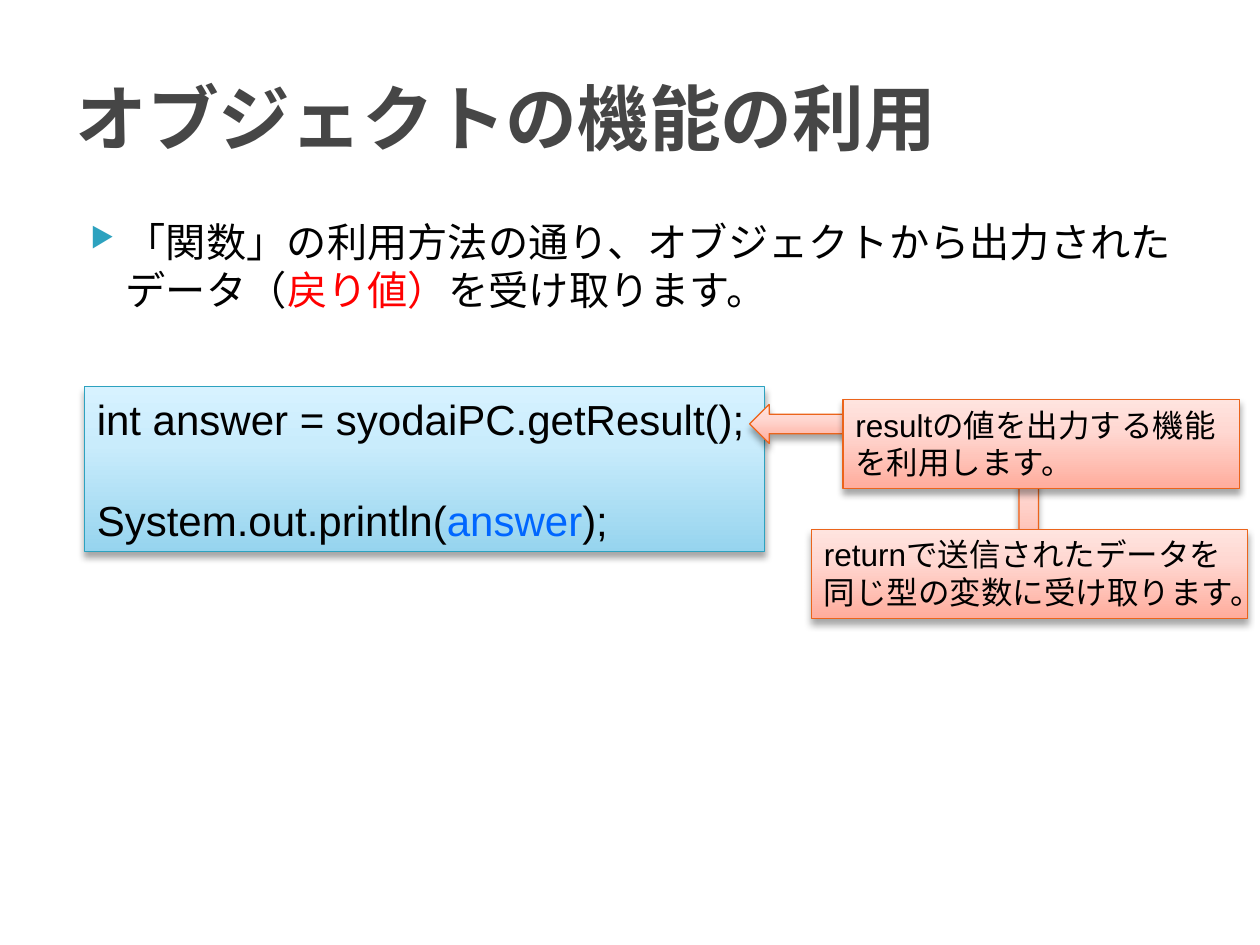
import pptx
import pptx.dml.color
import pptx.enum.shapes
import pptx.enum.text
import pptx.oxml
import pptx.oxml.ns
import pptx.util

Pt = pptx.util.Pt
RGBColor = pptx.dml.color.RGBColor
Shape = pptx.enum.shapes.MSO_SHAPE
Anchor = pptx.enum.text.MSO_ANCHOR
Align = pptx.enum.text.PP_ALIGN

BLACK = RGBColor(0x00, 0x00, 0x00)
GRAY = RGBColor(0x46, 0x46, 0x46)
RED = RGBColor(0xFF, 0x00, 0x00)
BLUE = RGBColor(0x00, 0x66, 0xFF)
TEAL = RGBColor(0x2D, 0xA2, 0xBF)
ORANGE = RGBColor(0xEB, 0x64, 0x1B)
SKY_STOPS = (RGBColor(0x96, 0xD4, 0xEE), RGBColor(0xC9, 0xEC, 0xFC), RGBColor(0xD7, 0xF2, 0xFF))
PEACH_STOPS = (RGBColor(0xFF, 0xAC, 0x9C), RGBColor(0xFF, 0xD8, 0xD2), RGBColor(0xFF, 0xE4, 0xDF))
SKY = (SKY_STOPS, TEAL)
PEACH = (PEACH_STOPS, ORANGE)


def drawing_xml(tag, body, attributes=""):
    return pptx.oxml.parse_xml(
        f'<a:{tag} {pptx.oxml.ns.nsdecls("a")} {attributes}>{body}</a:{tag}>'
    )


class SlideBuilder:
    heading_font = "Courier New"
    label_font = "Arial"

    def __init__(self, slide):
        self.slide = slide

    def add_pieces(self, paragraph, pieces, font, size, bold=False):
        paragraph.alignment = Align.LEFT
        for words, color in pieces:
            run = paragraph.add_run()
            run.text = words
            run.font.name = font
            run.font.size = Pt(size)
            run.font.bold = bold
            run.font.color.rgb = color

    def text_frame(self, left, top, width, height, anchor):
        frame = self.slide.shapes.add_textbox(Pt(left), Pt(top), Pt(width), Pt(height)).text_frame
        frame.word_wrap = True
        frame.vertical_anchor = anchor
        return frame

    def title(self, words, *place):
        frame = self.text_frame(*place, Anchor.MIDDLE)
        self.add_pieces(frame.paragraphs[0], [(words, GRAY)], self.heading_font, 41, True)

    def bullet(self, pieces, *place):
        frame = self.text_frame(*place, Anchor.TOP)
        frame.margin_top = Pt(7.6)
        paragraph = frame.paragraphs[0]
        properties = paragraph._p.get_or_add_pPr()
        properties.set("marL", str(Pt(28.8)))
        properties.set("indent", str(Pt(-20.16)))
        properties.append(drawing_xml("buClr", f'<a:srgbClr val="{TEAL}"/>'))
        properties.append(drawing_xml("buSzPct", "", 'val="68000"'))
        properties.append(drawing_xml("buChar", "", 'char="▶"'))
        self.add_pieces(paragraph, pieces, self.heading_font, 23)

    def glossy_shape(self, kind, theme, left, top, width, height):
        stops, edge = theme
        shape = self.slide.shapes.add_shape(kind, Pt(left), Pt(top), Pt(width), Pt(height))
        shape.line.color.rgb = edge
        shape.line.width = Pt(0.75)
        shape.fill.background()
        properties = shape._element.spPr
        stop_list = "".join(
            f'<a:gs pos="{position}"><a:srgbClr val="{color}"/></a:gs>'
            for position, color in zip((0, 65000, 100000), stops)
        )
        gradient = drawing_xml("gradFill", f'<a:gsLst>{stop_list}</a:gsLst><a:lin ang="16200000" scaled="0"/>')
        properties.replace(properties.find(pptx.oxml.ns.qn("a:noFill")), gradient)
        shape.shadow.inherit = False
        properties.find(pptx.oxml.ns.qn("a:effectLst")).append(drawing_xml(
            "outerShdw",
            f'<a:srgbClr val="{BLACK}"><a:alpha val="35000"/></a:srgbClr>',
            f'blurRad="{Pt(4)}" dist="{Pt(3)}" dir="5400000" rotWithShape="0"',
        ))
        return shape

    def panel(self, lines, size, theme, *place, wrap=False, gap=0):
        frame = self.glossy_shape(Shape.RECTANGLE, theme, *place).text_frame
        frame.word_wrap = wrap
        frame.vertical_anchor = Anchor.TOP
        for number, pieces in enumerate(lines):
            paragraph = frame.add_paragraph() if number else frame.paragraphs[0]
            if number and gap:
                paragraph.space_before = Pt(gap)
            self.add_pieces(paragraph, pieces, self.label_font, size)


def main():
    deck = pptx.Presentation()
    deck.slide_width, deck.slide_height = Pt(720), Pt(540)
    builder = SlideBuilder(deck.slides.add_slide(deck.slide_layouts[6]))

    builder.title("オブジェクトの機能の利用", 36, 21.6, 648, 90)
    code_lines = [
        [("int answer = syodaiPC.getResult();", BLACK)],
        [("System.out.println(", BLACK), ("answer", BLUE), (");", BLACK)],
    ]
    builder.panel(code_lines, 24, SKY, 48.24, 221.04, 388.8, 94.32, gap=29)
    explanation = [
        ("「関数」の利用方法の通り、オブジェクトから出力されたデータ（", BLACK),
        ("戻り値）", RED),
        ("を受け取ります。", BLACK),
    ]
    builder.bullet(explanation, 36, 116.64, 648, 88.56)

    builder.glossy_shape(Shape.LEFT_ARROW, PEACH, 428.4, 231.12, 141.84, 22.32)
    builder.glossy_shape(Shape.UP_ARROW, PEACH, 576.72, 254.16, 22.32, 74.88)
    return_lines = [
        [("returnで送信されたデータを", BLACK)],
        [("同じ型の変数に受け取ります。", BLACK)],
    ]
    builder.panel(return_lines, 18, PEACH, 463.68, 302.4, 249.12, 51.12)
    result_lines = [[("resultの値を出力する機能を利用します。", BLACK)]]
    builder.panel(result_lines, 18, PEACH, 481.68, 228.24, 226.8, 51.12, wrap=True)

    deck.save("out.pptx")


if __name__ == "__main__":
    main()
